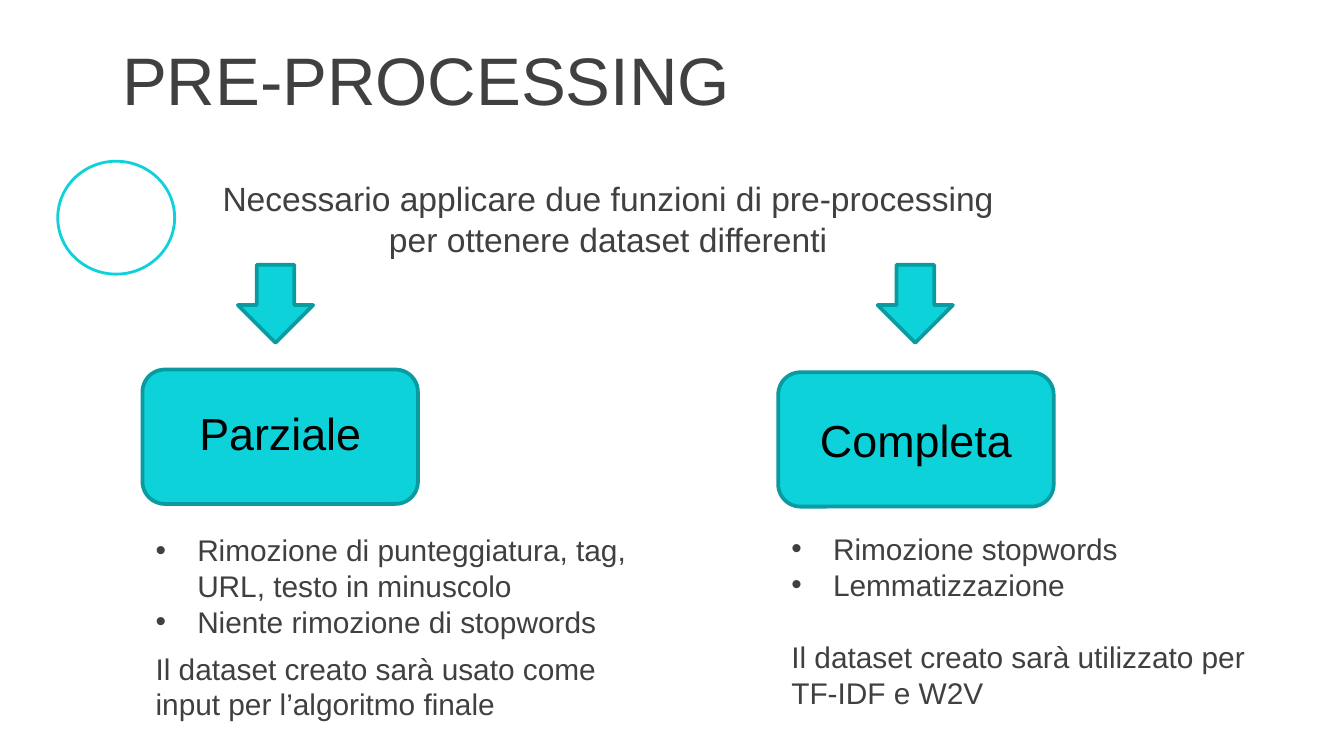
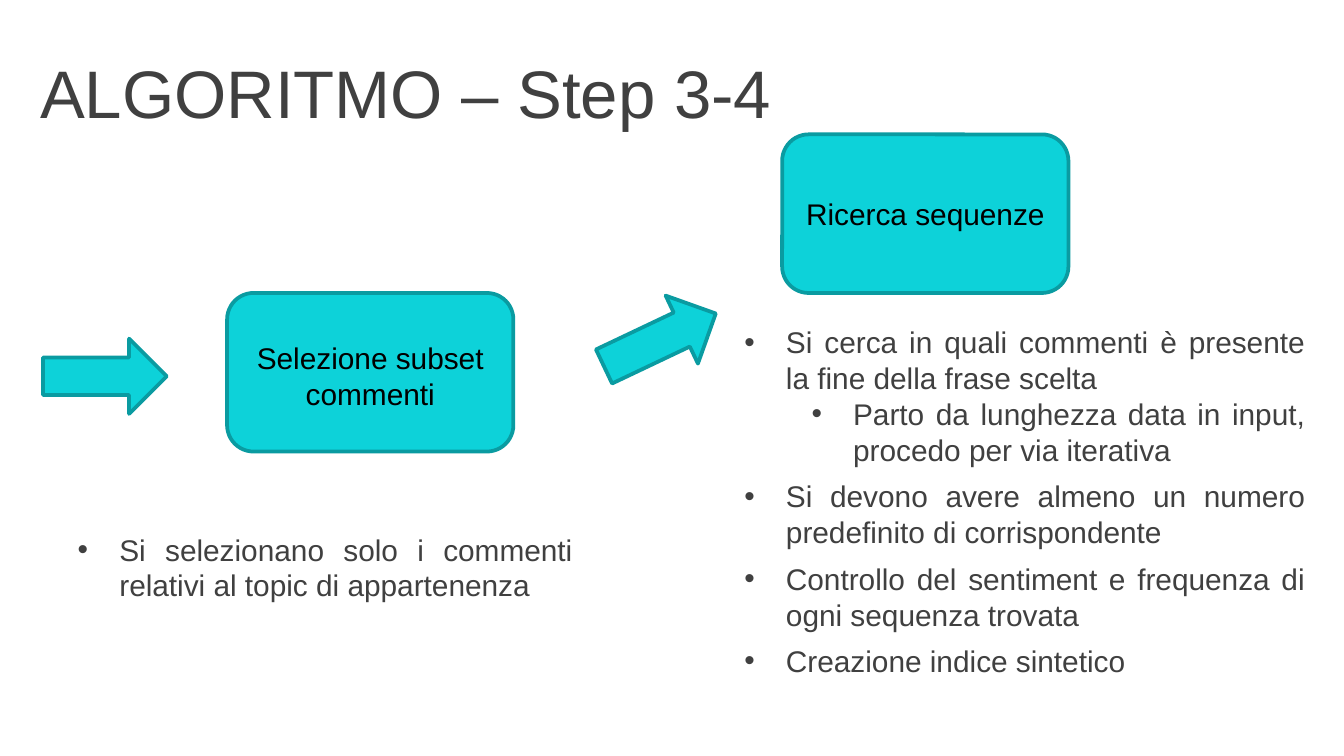
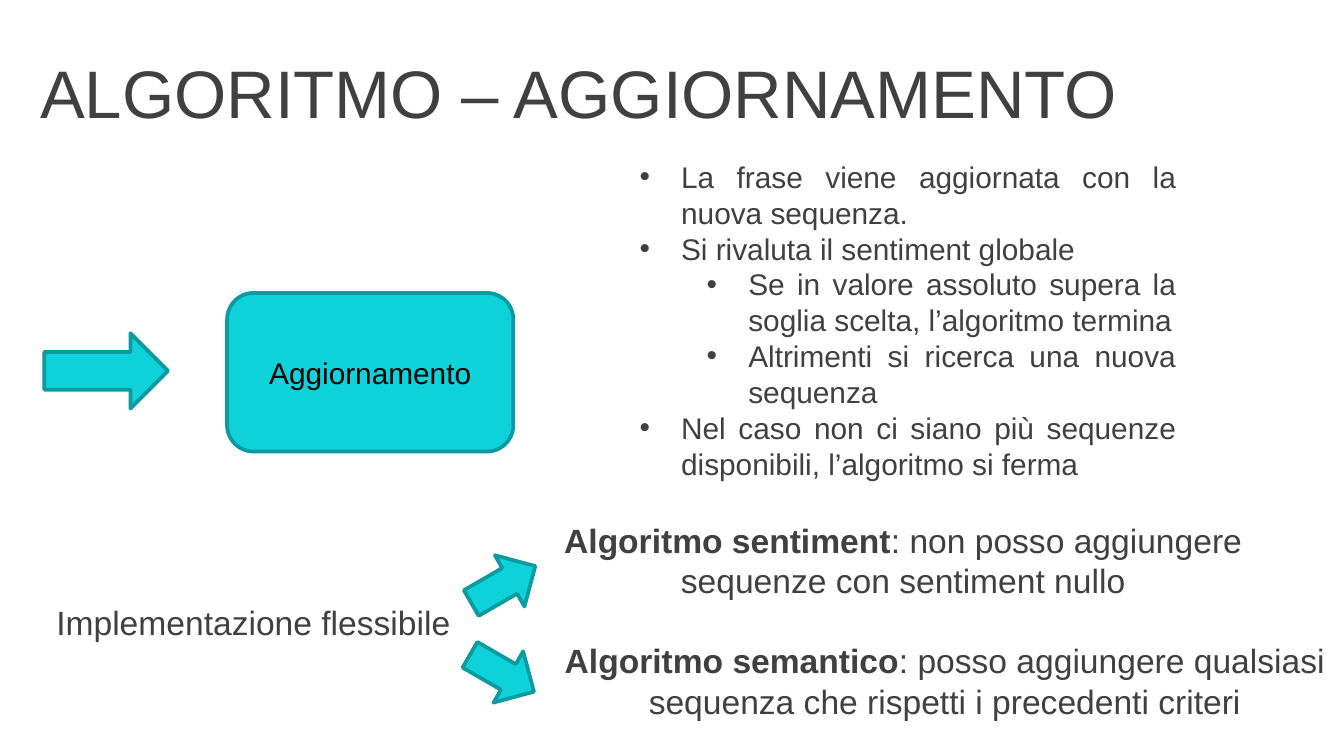
"""Build three slides on text pre-processing and the steps of the algorithm."""
from lxml import etree
from pptx import Presentation
from pptx.dml.color import RGBColor
from pptx.enum.shapes import MSO_SHAPE
from pptx.enum.text import MSO_ANCHOR, MSO_AUTO_SIZE, PP_ALIGN
from pptx.oxml.ns import qn
from pptx.util import Inches, Pt

TURQUOISE = RGBColor(0x0D, 0xD2, 0xD9)
TEAL = RGBColor(0x0A, 0x9B, 0xA1)
GREY = RGBColor(0x40, 0x40, 0x40)
BLACK = RGBColor(0, 0, 0)
WHITE = RGBColor(0xFF, 0xFF, 0xFF)
FONT = "Arial"

ROUNDED, ARROW, OVAL = MSO_SHAPE.ROUNDED_RECTANGLE, MSO_SHAPE.RIGHT_ARROW, MSO_SHAPE.OVAL
LEFT, CENTER, JUSTIFY = PP_ALIGN.LEFT, PP_ALIGN.CENTER, PP_ALIGN.JUSTIFY
TOP, MIDDLE = MSO_ANCHOR.TOP, MSO_ANCHOR.MIDDLE
GROW, FIXED = MSO_AUTO_SIZE.SHAPE_TO_FIT_TEXT, MSO_AUTO_SIZE.NONE

SLIDE_WIDTH = Inches(10)
SLIDE_HEIGHT = SLIDE_WIDTH * 9 // 16
SMALL_GAP, LINE_GAP = 5.75, 19.5
BULLET_INDENT, LEVEL_STEP = 0.31, 0.5
PLAIN = None

MODE_SIZE, STEP_SIZE = (2.05, 1), (2.13, 1.18)
DOWN_ARROW, STEP_ARROW, BRANCH_ARROW = (0.58, 0.56), (0.92, 0.56), (0.55, 0.44)
TITLE_AT = (0.2, 0.37, 9.8, 0.63)

SLIDES = [
    {
        "title": ("PRE-PROCESSING", (0.81, 0.27, 9.17, 0.63)),
        "circle": (0.43, 1.2, 0.87, 0.84),
        "statements": [
            ((1.54, 1.27, 5.97, 0.71), "",
             "Necessario applicare due funzioni di pre-processing per ottenere dataset differenti"),
        ],
        "boxes": [
            ("Parziale", (1.06, 2.75), MODE_SIZE, 24, (2.97, 2.33, 0.5)),
            ("Completa", (5.79, 2.77), MODE_SIZE, 24, (3.02, 2.33, 0.5)),
        ],
        "arrows": [((1.76, 1.98), DOWN_ARROW, 90), ((6.52, 1.98), DOWN_ARROW, 90)],
        "lists": [
            ((1.06, 3.9, 4, 1.53), LEFT, MIDDLE, [
                (0, "Rimozione di punteggiatura, tag, URL, testo in minuscolo", 0),
                (0, "Niente rimozione di stopwords", 0),
                (PLAIN, "Il dataset creato sarà usato come input per l’algoritmo finale", SMALL_GAP),
            ]),
            ((5.79, 3.9, 3.69, 1.45), LEFT, TOP, [
                (0, "Rimozione stopwords", 0),
                (0, "Lemmatizzazione", 0),
                (PLAIN, "Il dataset creato sarà utilizzato per TF-IDF e W2V", LINE_GAP),
            ]),
        ],
    },
    {
        "title": ("ALGORITMO – Step 3-4", TITLE_AT),
        "boxes": [
            ("Selezione subset commenti", (1.69, 2.18), STEP_SIZE, 16, (2.48, 2.49, 0.64)),
            ("Ricerca sequenze", (5.82, 1), STEP_SIZE, 16, (1.41, 2.49, 0.37)),
        ],
        "arrows": [((4.45, 2.25), STEP_ARROW, 334.6), ((0.32, 2.52), STEP_ARROW, 0)],
        "lists": [
            ((0.48, 3.9, 3.88, 0.64), JUSTIFY, MIDDLE, [
                (0, "Si selezionano solo i commenti relativi al topic di appartenenza", 0),
            ]),
            ((5.44, 2.34, 4.37, 2.78), JUSTIFY, MIDDLE, [
                (0, "Si cerca in quali commenti è presente la fine della frase scelta", 0),
                (1, "Parto da lunghezza data in input, procedo per via iterativa", 0),
                (0, "Si devono avere almeno un numero predefinito di corrispondente", SMALL_GAP),
                (0, "Controllo del sentiment e frequenza di ogni sequenza trovata", SMALL_GAP),
                (0, "Creazione indice sintetico", SMALL_GAP),
            ]),
        ],
    },
    {
        "title": ("ALGORITMO – AGGIORNAMENTO", TITLE_AT),
        "boxes": [
            ("Aggiornamento", (1.69, 2.18), STEP_SIZE, 16, (2.59, 2.31, 0.37)),
        ],
        "arrows": [
            ((0.33, 2.48), STEP_ARROW, 0),
            ((3.47, 4.13), BRANCH_ARROW, 330),
            ((3.46, 4.79), BRANCH_ARROW, 30),
        ],
        "lists": [
            ((4.66, 1.12, 4.19, 2.52), JUSTIFY, MIDDLE, [
                (0, "La frase viene aggiornata con la nuova sequenza.", 0),
                (0, "Si rivaluta il sentiment globale", 0),
                (1, "Se in valore assoluto supera la soglia scelta, l’algoritmo termina", 0),
                (1, "Altrimenti si ricerca una nuova sequenza", 0),
                (0, "Nel caso non ci siano più sequenze disponibili, l’algoritmo si ferma", 0),
            ]),
        ],
        "statements": [
            ((0.02, 4.43, 3.73, 0.4), "", "Implementazione flessibile"),
            ((4.08, 3.81, 5.28, 0.71), "Algoritmo sentiment",
             ": non posso aggiungere sequenze con sentiment nullo"),
            ((4.08, 4.71, 5.9, 0.71), "Algoritmo semantico",
             ": posso aggiungere qualsiasi sequenza che rispetti i precedenti criteri"),
        ],
    },
]


def add_figure(slide, preset, place, fill=TURQUOISE, outline=TEAL, weight=2, rotation=0):
    figure = slide.shapes.add_shape(preset, *map(Inches, place))
    figure.shadow.inherit = False
    figure.fill.solid()
    figure.fill.fore_color.rgb = fill
    figure.line.color.rgb = outline
    figure.line.width = Pt(weight)
    figure.rotation = rotation


def add_frame(slide, place, anchor=MIDDLE, sizing=GROW):
    frame = slide.shapes.add_textbox(*map(Inches, place)).text_frame
    frame.word_wrap = True
    frame.auto_size = sizing
    frame.vertical_anchor = anchor
    return frame


def style(paragraph, size, color=GREY, align=LEFT):
    paragraph.alignment = align
    paragraph.font.name = FONT
    paragraph.font.size = Pt(size)
    paragraph.font.color.rgb = color


def add_line(slide, text, place, size, color=GREY, align=LEFT, anchor=MIDDLE, sizing=GROW):
    paragraph = add_frame(slide, place, anchor, sizing).paragraphs[0]
    paragraph.text = text
    style(paragraph, size, color, align)


def add_box(slide, label, corner, size, font_size, label_place):
    add_figure(slide, ROUNDED, corner + size)
    top, width, height = label_place
    left = corner[0] + (size[0] - width) / 2
    add_line(slide, label, (left, top, width, height), font_size, BLACK, CENTER, TOP)


def add_statement(slide, place, lead, rest):
    paragraph = add_frame(slide, place).paragraphs[0]
    if lead:
        lead_run = paragraph.add_run()
        lead_run.text = lead
        lead_run.font.bold = True
    paragraph.add_run().text = rest
    style(paragraph, 18, align=CENTER)


def set_bullet(paragraph, level):
    paragraph.level = level
    properties = paragraph._p.get_or_add_pPr()
    properties.set("marL", str(Inches(BULLET_INDENT + level * LEVEL_STEP)))
    properties.set("indent", str(-Inches(BULLET_INDENT)))
    bullet_font = etree.Element(qn("a:buFont"), typeface=FONT)
    bullet = etree.Element(qn("a:buChar"), char="•")
    defaults = properties.find(qn("a:defRPr"))
    defaults.addprevious(bullet_font)
    defaults.addprevious(bullet)


def add_list(slide, place, align, anchor, items):
    frame = add_frame(slide, place, anchor)
    for index, (level, text, gap) in enumerate(items):
        paragraph = frame.add_paragraph() if index else frame.paragraphs[0]
        paragraph.text = text
        paragraph.space_before = Pt(gap)
        style(paragraph, 16, align=align)
        if level is not PLAIN:
            set_bullet(paragraph, level)


def main():
    deck = Presentation()
    deck.slide_width, deck.slide_height = SLIDE_WIDTH, SLIDE_HEIGHT
    for content in SLIDES:
        slide = deck.slides.add_slide(deck.slide_layouts[6])
        title, title_place = content["title"]
        add_line(slide, title, title_place, 36, sizing=FIXED)
        if "circle" in content:
            add_figure(slide, OVAL, content["circle"], WHITE, TURQUOISE, 1.5)
        for box in content["boxes"]:
            add_box(slide, *box)
        for corner, size, rotation in content["arrows"]:
            add_figure(slide, ARROW, corner + size, rotation=rotation)
        for bullets in content["lists"]:
            add_list(slide, *bullets)
        for statement in content.get("statements", []):
            add_statement(slide, *statement)
    deck.save("out.pptx")


if __name__ == "__main__":
    main()
